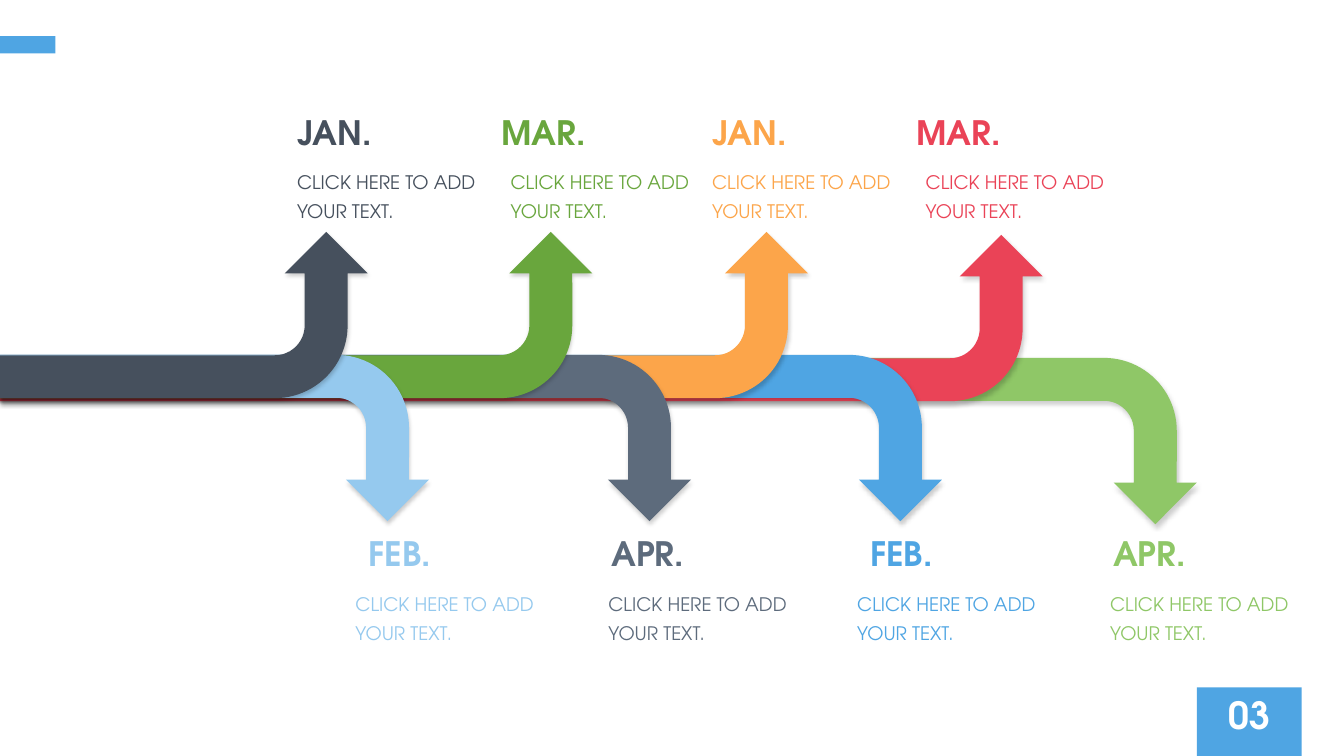
import pptx
import pptx.dml.color
import pptx.enum.shapes
import pptx.enum.text
import pptx.oxml
import pptx.oxml.ns
import pptx.util

Inches = pptx.util.Inches
SHAPES = pptx.enum.shapes.MSO_SHAPE
ANCHOR = pptx.enum.text.MSO_ANCHOR
ALIGN = pptx.enum.text.PP_ALIGN
AUTO_SIZE = pptx.enum.text.MSO_AUTO_SIZE

FONT = "TeX Gyre Adventor"
BLUE = "4FA5E3"
ARROW_DEPTH = 1.65
ARROW_ADJUSTMENTS = (0.258, 0.25, 0.25, 0.438)
SHADOW = (
    f'<a:outerShdw {pptx.oxml.ns.nsdecls("a")} blurRad="39370" dist="22860" '
    'dir="5400000" rotWithShape="0"><a:srgbClr val="000000">'
    '<a:alpha val="20000"/></a:srgbClr></a:outerShdw>'
)

MONTH_WIDTHS = {"JAN.": 0.96, "FEB.": 0.83, "MAR.": 1.04, "APR.": 0.93}
DETAIL_SHIFTS = {"JAN.": 0, "FEB.": -0.13, "MAR.": 0.09, "APR.": -0.03}
MILESTONES = [
    ("JAN.", "46505D", 3.65, 2.3, 2.85),
    ("FEB.", "95C9EE", 4.26, 3.52, 3.56),
    ("MAR.", "69A63D", 5.88, 2.3, 4.88),
    ("APR.", "5D6B7C", 6.86, 3.52, 5.97),
    ("JAN.", "FCA54A", 8.02, 2.3, 6.97),
    ("FEB.", BLUE, 9.35, 3.52, 8.54),
    ("MAR.", "EA4357", 10.35, 2.33, 9.0),
    ("APR.", "8FC767", 11.88, 3.55, 10.95),
]


def colour(hex_code):
    return pptx.dml.color.RGBColor.from_string(hex_code)


def add_block(shapes, kind, box, fill):
    block = shapes.add_shape(kind, *map(Inches, box))
    block.shadow.inherit = False
    block.fill.solid()
    block.fill.fore_color.rgb = colour(fill)
    block.line.fill.background()
    return block


def add_text(shapes, text, box, *, size, color, bold=False, wrap=True, grow=True,
             align=ALIGN.LEFT, anchor=ANCHOR.MIDDLE, spacing=None):
    label = shapes.add_textbox(*map(Inches, box))
    frame = label.text_frame
    frame.word_wrap = wrap
    frame.auto_size = AUTO_SIZE.SHAPE_TO_FIT_TEXT if grow else AUTO_SIZE.NONE
    frame.vertical_anchor = anchor
    paragraph = frame.paragraphs[0]
    paragraph.alignment = align
    paragraph.line_spacing = spacing
    run = paragraph.add_run()
    run.text = text
    run.font.name = FONT
    run.font.size = pptx.util.Pt(size)
    run.font.bold = bold
    run.font.color.rgb = colour(color)


def add_arrow(slide, box, fill, upward):
    left, top, reach, depth = box
    turned_box = (left + (reach - depth) / 2, top + (depth - reach) / 2, depth, reach)
    arrow = add_block(slide.shapes, SHAPES.BENT_ARROW, turned_box, fill)
    for index, value in enumerate(ARROW_ADJUSTMENTS):
        arrow.adjustments[index] = value
    arrow.rotation = 90 if upward else 270
    properties = arrow.element.spPr
    properties.xfrm.set("flipH", "1")
    if not upward:
        properties.xfrm.set("flipV", "1")
    effects = properties.find(pptx.oxml.ns.qn("a:effectLst"))
    effects.append(pptx.oxml.parse_xml(SHADOW))


def add_caption(slide, left, top, month, color):
    caption = slide.shapes.add_group_shape().shapes
    add_text(caption, month, (left, top, MONTH_WIDTHS[month], 0.5),
             size=24, color=color, bold=True, wrap=False)
    add_text(caption, "CLICK HERE TO ADD YOUR TEXT.",
             (left + DETAIL_SHIFTS[month], top + 0.52, 2.03, 0.68),
             size=13.3, color=color, spacing=1.3)


def add_timeline(slide):
    for position, (_, color, reach, top, _) in reversed(list(enumerate(MILESTONES))):
        add_arrow(slide, (0, top, reach, ARROW_DEPTH), color, position % 2 == 0)
    for position, (month, color, _, _, left) in enumerate(MILESTONES):
        add_caption(slide, left, 5.24 if position % 2 else 1.06, month, color)


def add_page_number(slide, box, number):
    left, top, width, _ = box
    add_block(slide.shapes, SHAPES.RECTANGLE, box, BLUE)
    add_text(slide.shapes, number, (left, top, width, 0.54), size=26.7,
             color="FFFFFF", bold=True, grow=False, align=ALIGN.CENTER,
             anchor=ANCHOR.TOP)


presentation = pptx.Presentation()
presentation.slide_width = Inches(13.34)
presentation.slide_height = Inches(7.5)
timeline_slide = presentation.slides.add_slide(presentation.slide_layouts[6])
add_block(timeline_slide.shapes, SHAPES.RECTANGLE, (0, 0.36, 0.55, 0.17), BLUE)
add_page_number(timeline_slide, (11.88, 6.82, 1.04, 0.68), "03")
add_timeline(timeline_slide)
presentation.save("out.pptx")
